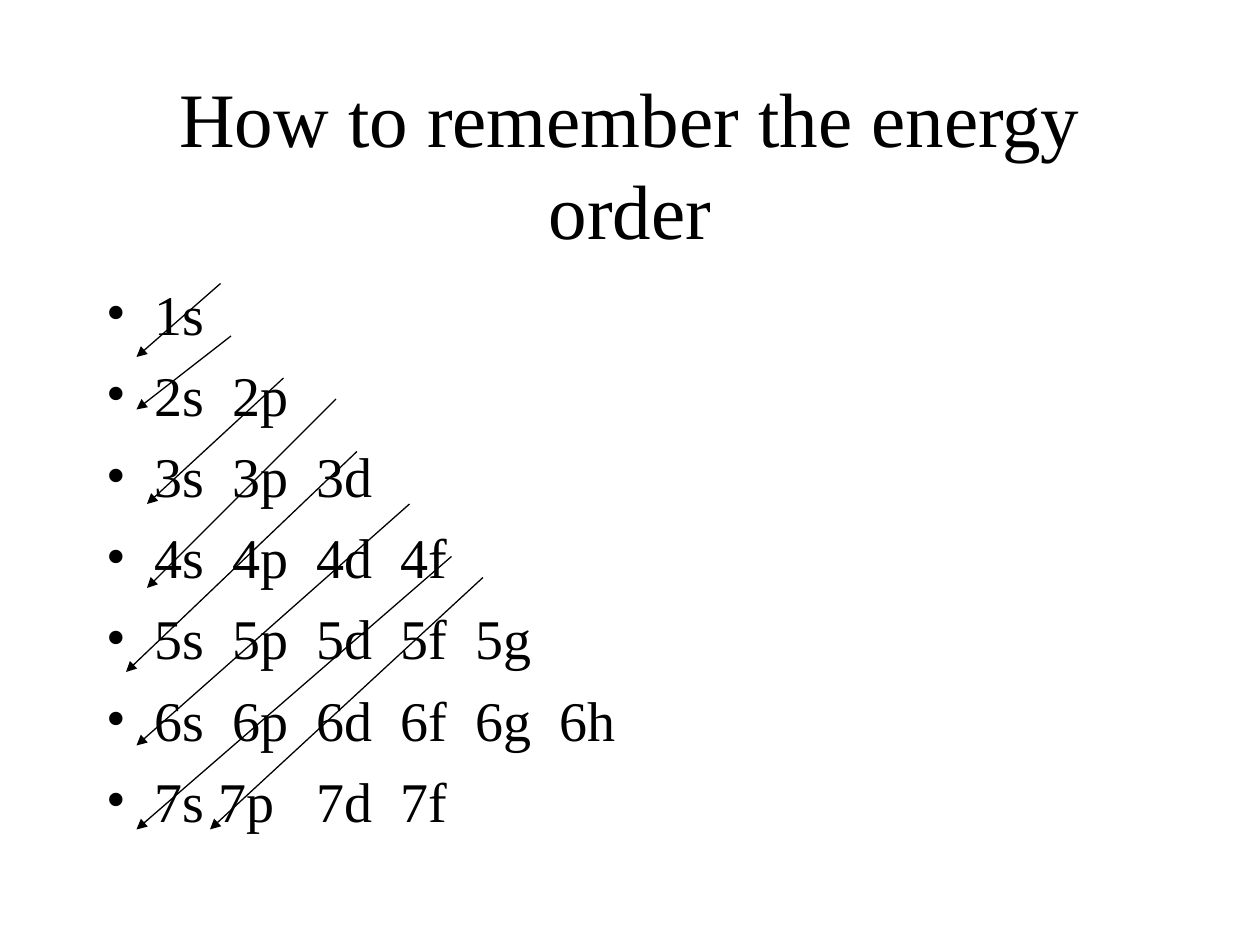
import pptx
import pptx.dml.color
import pptx.enum.shapes
import pptx.enum.text
import pptx.oxml.ns
import pptx.util
from lxml import etree

WIDTH, HEIGHT = 10, 7.5
UNIT = 1 / 12  # grid step in inches
FONT, BLACK = "Times New Roman", "000000"
TITLE = "How to remember the energy order"
SUBSHELLS = "spdfgh"
SHELL_SIZES = [1, 2, 3, 4, 5, 6, 4]  # subshells listed for shells 1 to 7
GAP = 2  # space between subshells, in widths of one space
SPECIAL_GAPS = {"7s": 1, "7p": 3}
BODY_SIZE = 32
SPACE_WIDTH = BODY_SIZE / 4

# Box and diagonal positions in grid steps
TITLE_BOX = (9, 8, 102, 15)
BODY_BOX = (9, 26, 102, 54)
DIAGONALS = [
    ((21, 27), (13, 34)),
    ((22, 32), (13, 39)),
    ((27, 36), (14, 48)),
    ((32, 38), (14, 56)),
    ((34, 43), (12, 64)),
    ((39, 48), (13, 71)),
    ((43, 53), (13, 79)),
    ((46, 55), (20, 79)),
]


def grid(*steps):
    return [pptx.util.Inches(step * UNIT) for step in steps]


def color(value):
    return pptx.dml.color.RGBColor.from_string(value)


def add_child(parent, tag, **attributes):
    return etree.SubElement(parent, pptx.oxml.ns.qn(tag), attributes)


def add_bullet(paragraph, indent=0.38):
    properties = paragraph._p.get_or_add_pPr()
    margin = pptx.util.Inches(indent)
    properties.set("marL", str(margin))
    properties.set("indent", str(-margin))
    add_child(add_child(properties, "a:buClr"), "a:srgbClr", val=BLACK)
    add_child(properties, "a:buFont", typeface=FONT)
    add_child(properties, "a:buChar", char="•")


def add_run(paragraph, text, size, spacing=0):
    run = paragraph.add_run()
    run.text = text
    run.font.size = pptx.util.Pt(size)
    run.font.name = FONT
    run.font.color.rgb = color(BLACK)
    if spacing:
        run.font._element.set("spc", str(round(spacing * 100)))


def add_text(slide, box, paragraphs, size, bullet=False, space_before=0,
             align=pptx.enum.text.PP_ALIGN.LEFT, anchor=pptx.enum.text.MSO_ANCHOR.TOP):
    """Add a text box; each paragraph is a list of (text, letter spacing) pairs."""
    frame = slide.shapes.add_textbox(*grid(*box)).text_frame
    frame.word_wrap = True
    frame.vertical_anchor = anchor
    for index, pieces in enumerate(paragraphs):
        paragraph = frame.add_paragraph() if index else frame.paragraphs[0]
        if bullet:
            add_bullet(paragraph)
        paragraph.alignment = align
        paragraph.space_before = pptx.util.Pt(space_before if index else 0)
        for text, spacing in pieces:
            add_run(paragraph, text, size, spacing)


def shell_row(shell, count):
    """List a shell's subshells, with one widened space between neighbours."""
    names = [f"{shell}{letter}" for letter in SUBSHELLS[:count]]
    pieces = []
    for name in names[:-1]:
        gap = SPECIAL_GAPS.get(name, GAP)
        pieces += [(name, 0), (" ", (gap - 1) * SPACE_WIDTH)]
    return pieces + [(names[-1], 0)]


def add_arrow(slide, start, end):
    arrow = slide.shapes.add_connector(
        pptx.enum.shapes.MSO_CONNECTOR.STRAIGHT, *grid(*start, *end))
    arrow.line.color.rgb = color(BLACK)
    arrow.line.width = pptx.util.Pt(0.75)
    add_child(arrow.line._get_or_add_ln(), "a:tailEnd", type="triangle")
    add_child(arrow._element.spPr, "a:effectLst")


def main():
    presentation = pptx.Presentation()
    presentation.slide_width = pptx.util.Inches(WIDTH)
    presentation.slide_height = pptx.util.Inches(HEIGHT)
    slide = presentation.slides.add_slide(presentation.slide_layouts[6])

    add_text(slide, TITLE_BOX, [[(TITLE, 0)]], 44,
             align=pptx.enum.text.PP_ALIGN.CENTER,
             anchor=pptx.enum.text.MSO_ANCHOR.MIDDLE)
    rows = [shell_row(shell, count) for shell, count in enumerate(SHELL_SIZES, 1)]
    add_text(slide, BODY_BOX, rows, BODY_SIZE, bullet=True, space_before=8)
    for start, end in DIAGONALS:
        add_arrow(slide, start, end)
    presentation.save("out.pptx")


if __name__ == "__main__":
    main()
